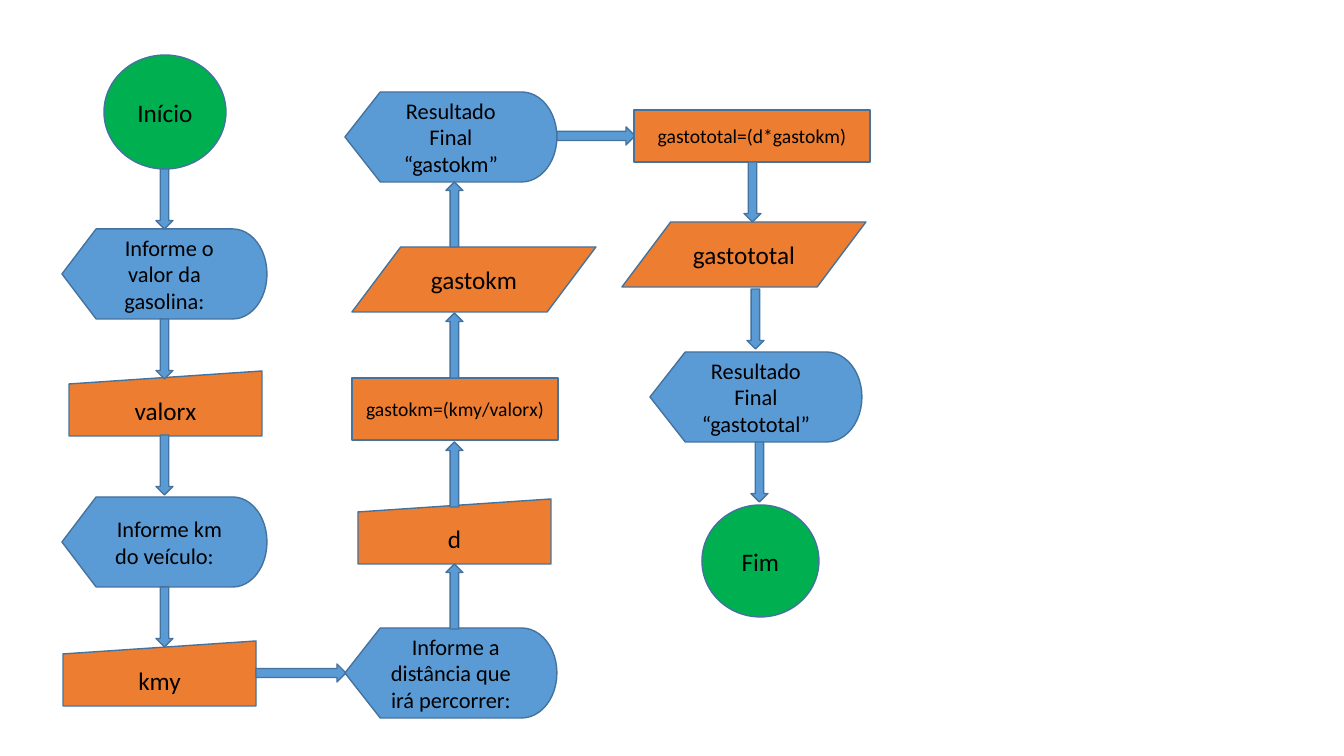
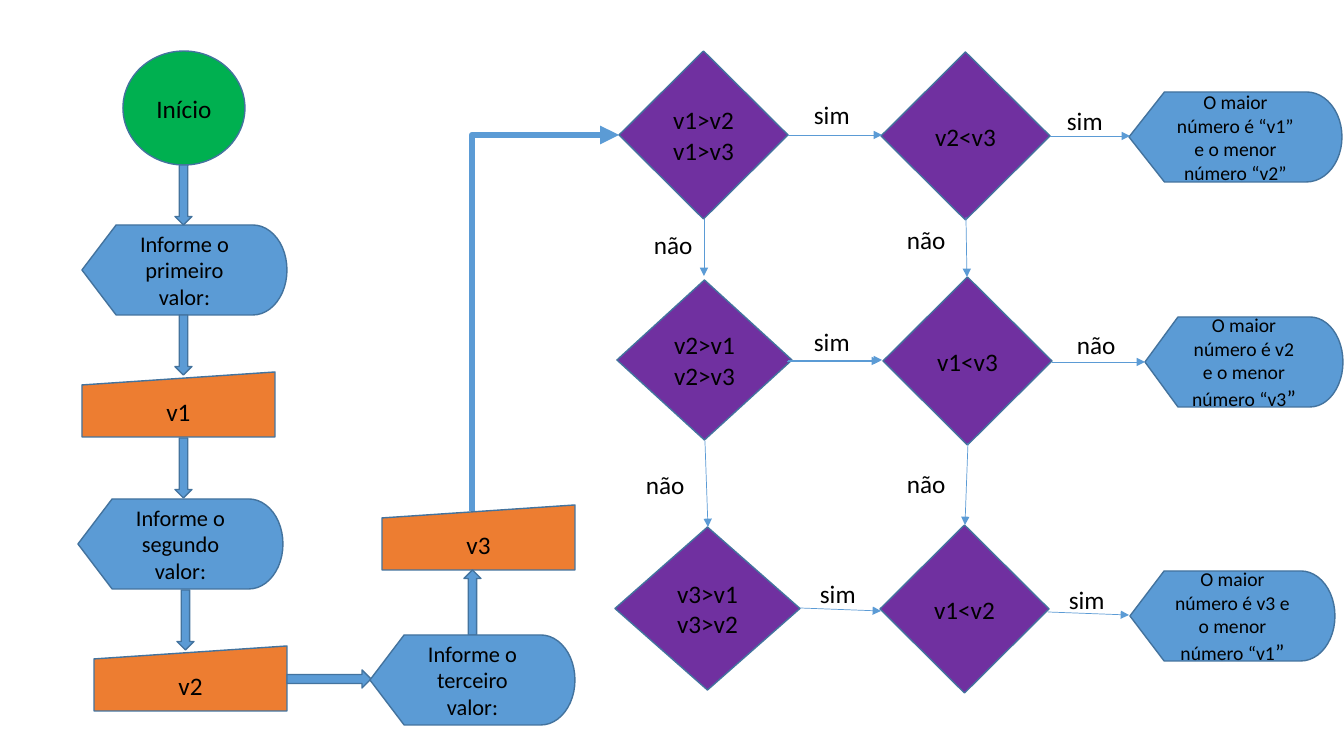
"""Builds two flowcharts: trip fuel cost, and largest and smallest of three numbers."""
from pptx import Presentation
from pptx import util as u
from pptx.dml.color import RGBColor
from pptx.enum import shapes, text
from pptx.oxml import parse_xml
from pptx.oxml.ns import nsdecls

SCALE = 914400 / 100.8
FONT = "Calibri"
BLACK, GREEN, BLUE = "000000", "00B050", "5B9BD5"
ORANGE, PURPLE, EDGE = "ED7D31", "7030A0", "43739E"
FORM = shapes.MSO_SHAPE
KINDS = {
    "start": (FORM.FLOWCHART_CONNECTOR, GREEN, 122, 114, 18),
    "end": (FORM.OVAL, GREEN, 117, 112, 18),
    "show": (FORM.FLOWCHART_DISPLAY, BLUE, 205, 90, 16),
    "input": (FORM.FLOWCHART_MANUAL_INPUT, ORANGE, 193, 65, 18),
    "step": (FORM.FLOWCHART_PROCESS, ORANGE, 206, 62, 14),
    "data": (FORM.FLOWCHART_DATA, ORANGE, 244, 65, 18),
    "test": (FORM.FLOWCHART_DECISION, PURPLE, 169, 168, 18),
    "down": (FORM.DOWN_ARROW, BLUE, 17, 60, 18),
    "up": (FORM.UP_ARROW, BLUE, 17, 65, 18),
    "right": (FORM.RIGHT_ARROW, BLUE, 90, 18, 18),
}


def px(n):
    """Turn pixels into EMU."""
    return u.Emu(round(n * SCALE))


def tint(hue):
    """Turn a hex string into a colour."""
    return RGBColor.from_string(hue)


def style(par, size):
    """Set the font of a paragraph."""
    par.font.name = FONT
    par.font.size = u.Pt(size)
    par.font.color.rgb = tint(BLACK)


def node(slide, kind, x, y, words="", w=None, h=None, size=None, lead=0):
    """Draw one flowchart symbol, with its text if any."""
    form, fill, wide, high, pts = KINDS[kind]
    box = slide.shapes.add_shape(form, px(x), px(y), px(w or wide), px(h or high))
    box.shadow.inherit = False
    box.fill.solid()
    box.fill.fore_color.rgb = tint(fill)
    box.line.color.rgb = tint(EDGE)
    box.line.width = u.Pt(1)
    if words:
        frame = box.text_frame
        frame.word_wrap = True
        frame.vertical_anchor = text.MSO_ANCHOR.MIDDLE
        frame.text = words
        for par in frame.paragraphs:
            par.alignment = text.PP_ALIGN.CENTER
            style(par, size or pts)
            if lead:
                par._p.get_or_add_pPr().set("indent", str(u.Pt(lead)))
    return box


def label(slide, x, y, words):
    """Write the answer beside a branch."""
    box = slide.shapes.add_textbox(px(x), px(y), px(62), px(40))
    box.text_frame.word_wrap = True
    box.text_frame.text = words
    style(box.text_frame.paragraphs[0], 18)


def link(slide, x1, y1, x2, y2, width=0.5, kind=shapes.MSO_CONNECTOR.STRAIGHT):
    """Draw a line with an arrowhead at its end."""
    line = slide.shapes.add_connector(kind, px(x1), px(y1), px(x2), px(y2))
    line.line.color.rgb = tint(BLUE)
    line.line.width = u.Pt(width)
    line.line._get_or_add_ln().append(
        parse_xml('<a:tailEnd %s type="triangle"/>' % nsdecls("a")))
    line._element.spPr.append(parse_xml("<a:effectLst %s/>" % nsdecls("a")))
    return line


def bend(slide, x1, y1, x2, y2, width):
    """Draw an arrow that goes up, then right, as a quarter-turned elbow."""
    midx, midy = (x1 + x2) / 2, (y1 + y2) / 2
    dx, dy = (y1 - y2) / 2, (x2 - x1) / 2
    line = link(slide, midx + dx, midy + dy, midx - dx, midy - dy,
                width, shapes.MSO_CONNECTOR.ELBOW)
    props = line._element.spPr
    props.xfrm.set("rot", "5400000")
    props.prstGeom.set("prst", "bentConnector2")


def result(slide, x, y, words, w, close=""):
    """Show an outcome, with a larger closing quote if given."""
    box = node(slide, "show", x, y, words, w=w, size=14)
    if close:
        run = box.text_frame.paragraphs[0].add_run()
        run.text = close
        run.font.size = u.Pt(16)


def fuel(slide):
    """Draw the fuel cost flowchart."""
    node(slide, "start", 104, 55, "Início")
    node(slide, "show", 62, 229, "Informe o valor da gasolina:", lead=7)
    node(slide, "input", 69, 371, "valorx")
    node(slide, "show", 62, 497, "Informe km do veículo:", lead=7)
    node(slide, "input", 63, 641, "kmy")
    for y in (169, 319, 435, 587):
        node(slide, "down", 156, y)
    node(slide, "right", 256, 664)

    node(slide, "show", 345, 628, "Informe a distância que irá percorrer:", w=212, lead=7)
    node(slide, "input", 358, 499, "d")
    node(slide, "step", 352, 378, "gastokm=(kmy/valorx)")
    node(slide, "data", 352, 247, "gastokm")
    node(slide, "show", 345, 92, "Resultado Final “gastokm”", w=212)
    for y in (564, 442, 313, 182):
        node(slide, "up", 446, y)
    node(slide, "right", 557, 127, w=78)

    node(slide, "step", 634, 110, "gastototal=(d*gastokm)", w=236, h=52)
    node(slide, "data", 622, 222, "gastototal")
    node(slide, "show", 650, 352, "Resultado Final “gastototal”", w=212)
    node(slide, "end", 702, 505, "Fim")
    for x, y in ((744, 162), (747, 289), (751, 442)):
        node(slide, "down", x, y)


def rank(slide):
    """Draw the three numbers flowchart."""
    node(slide, "start", 123, 51, "Início")
    node(slide, "show", 82, 225, "Informe o primeiro valor:")
    node(slide, "input", 82, 372, "v1")
    node(slide, "show", 78, 499, "Informe o segundo valor:")
    node(slide, "input", 94, 646, "v2")
    for x, y in ((175, 165), (175, 315), (175, 438), (177, 590)):
        node(slide, "down", x, y)
    node(slide, "right", 287, 670, w=84)
    node(slide, "input", 382, 505, "v3")
    node(slide, "up", 464, 570)
    node(slide, "show", 370, 635, "Informe o terceiro valor:")
    bend(slide, 472, 511, 619, 135, 4.5)

    node(slide, "test", 619, 51, "v1>v2\nv1>v3")
    node(slide, "test", 617, 280, "v2>v1\nv2>v3", w=175, h=160)
    node(slide, "test", 615, 527, "v3>v1\nv3>v2", w=185, h=163)
    node(slide, "test", 881, 52, "v2<v3")
    node(slide, "test", 883, 277, "v1<v3")
    node(slide, "test", 880, 525, "v1<v2")
    result(slide, 1129, 92, "O maior número é “v1” e o menor número “v2”", 213)
    result(slide, 1145, 317, "O maior número é v2 e o menor número “v3", 198, "”")
    result(slide, 1130, 571, "O maior número é v3 e o menor número “v1", 205, "”")

    for ends in ((704, 219, 704, 276), (705, 441, 708, 527),
                 (788, 135, 882, 135), (788, 360, 882, 360),
                 (787, 361, 880, 361), (800, 608, 881, 611),
                 (966, 217, 967, 277), (968, 443, 965, 525),
                 (1050, 136, 1130, 136), (1052, 362, 1145, 362),
                 (1048, 612, 1129, 615)):
        link(slide, *ends)
    for x, y in ((804, 94), (1057, 100), (804, 321), (810, 573), (1059, 579)):
        label(slide, x, y, "sim")
    for x, y in ((644, 224), (636, 464), (897, 219), (897, 463), (1067, 324)):
        label(slide, x, y, "não")


def main():
    """Build and save the slides."""
    deck = Presentation()
    deck.slide_width, deck.slide_height = px(1344), px(756)
    for draw in (fuel, rank):
        draw(deck.slides.add_slide(deck.slide_layouts[6]))
    deck.save("out.pptx")


main()
